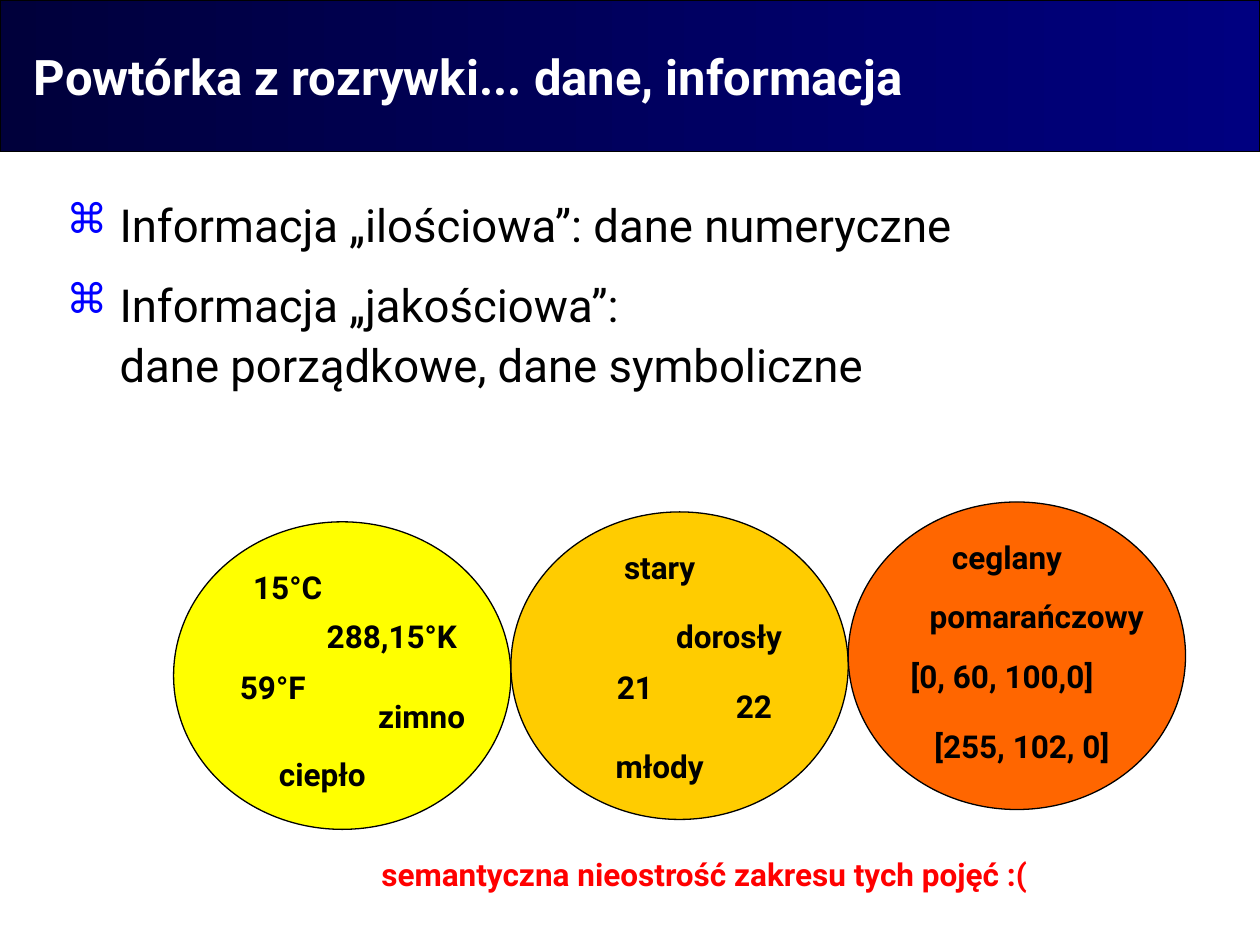
from dataclasses import dataclass

from lxml import etree
from pptx import Presentation
from pptx.dml.color import RGBColor
from pptx.enum import shapes, text
from pptx.oxml import ns
from pptx.util import Cm, Pt


@dataclass(frozen=True)
class Theme:
    font: str = "Roboto"
    title_size: int = 28
    body_size: int = 26
    label_size: int = 18
    ink: str = "000000"
    white: str = "FFFFFF"
    bullet: str = "0000FF"
    warning: str = "FF0000"
    band: tuple = ("00003B", "000080")


THEME = Theme()
CIRCLE_WIDTH, CIRCLE_HEIGHT = 6.8, 6.2
LABEL_HEIGHT = 1.02

# Circle colour, then its labels as (wording, left, top, width) in cm
CIRCLES = [
    ("FFFF00", [
        ("15°C", 4.5, 11.33, 2.6),
        ("59°F", 4.1, 13.34, 2.8),
        ("288,15°K", 5.9, 12.32, 4),
        ("ciepło", 5.1, 15.1, 2.8),
        ("zimno", 7.1, 13.92, 2.8),
    ]),
    ("FFCC00", [
        ("21", 11.5, 13.34, 2.6),
        ("dorosły", 12.9, 12.32, 3.6),
        ("22", 14.1, 13.72, 2.2),
        ("młody", 11.9, 14.94, 2.8),
        ("stary", 11.9, 10.92, 2.8),
    ]),
    ("FF6600", [
        ("[255, 102, 0]", 18.1, 14.53, 5),
        ("ceglany", 18.5, 10.72, 3.6),
        ("pomarańczowy", 18.1, 11.91, 5.6),
        ("[0, 60, 100,0]", 17.7, 13.13, 5),
    ]),
]

POINTS = [
    "Informacja „ilościowa”: dane numeryczne",
    "Informacja „jakościowa”: \vdane porządkowe, dane symboliczne",
]


def rgb(value):
    return RGBColor.from_string(value)


def style(para, size, color, bold=False):
    font = para.font
    font.name, font.size, font.bold = THEME.font, Pt(size), bold
    font.color.rgb = rgb(color)


def outline(shape):
    shape.shadow.inherit = False
    shape.line.color.rgb = rgb(THEME.ink)
    shape.line.width = Pt(0.75)


def add_band(page):
    band = page.shapes.add_shape(shapes.MSO_SHAPE.RECTANGLE, 0, 0, Cm(25.4), Cm(3.05))
    outline(band)
    band.fill.gradient()
    band.fill.gradient_angle = 0
    for stop, color in zip(band.fill.gradient_stops, THEME.band):
        stop.color.rgb = rgb(color)
    # Keep the band behind the title
    page.shapes._spTree.insert(2, band._element)


def set_title(page, wording):
    title = page.shapes.title
    title.left, title.top, title.width, title.height = Cm(0.43), Cm(0.81), Cm(20.75), Cm(1.45)
    frame = title.text_frame
    frame.text = wording
    frame.auto_size = text.MSO_AUTO_SIZE.NONE
    frame.vertical_anchor = text.MSO_ANCHOR.BOTTOM
    para = frame.paragraphs[0]
    para.alignment = text.PP_ALIGN.LEFT
    style(para, THEME.title_size, THEME.white, bold=True)


def add_bullet(para):
    props = para._p.get_or_add_pPr()
    props.set("marL", str(Cm(1.07)))
    props.set("indent", str(-Cm(1.07)))
    color = etree.SubElement(props, ns.qn("a:buClr"))
    etree.SubElement(color, ns.qn("a:srgbClr"), val=THEME.bullet)
    etree.SubElement(props, ns.qn("a:buSzPct"), val="90000")
    etree.SubElement(props, ns.qn("a:buChar"), char="⌘")


def add_points(page, points):
    box = page.shapes.add_textbox(Cm(1.09), Cm(3.73), Cm(23.8), Cm(13.2))
    frame = box.text_frame
    frame.word_wrap = True
    for index, wording in enumerate(points):
        para = frame.add_paragraph() if index else frame.paragraphs[0]
        para.text = wording
        add_bullet(para)
        para.line_spacing = 1.1
        if index:
            para.space_before = Pt(11.4)
        style(para, THEME.body_size, THEME.ink)


def add_circle(page, left, top, color):
    circle = page.shapes.add_shape(shapes.MSO_SHAPE.OVAL, Cm(left), Cm(top),
                                   Cm(CIRCLE_WIDTH), Cm(CIRCLE_HEIGHT))
    outline(circle)
    circle.fill.solid()
    circle.fill.fore_color.rgb = rgb(color)


def add_label(page, wording, left, top, width, color=THEME.ink):
    box = page.shapes.add_textbox(Cm(left), Cm(top), Cm(width), Cm(LABEL_HEIGHT))
    box.text_frame.word_wrap = True
    para = box.text_frame.paragraphs[0]
    para.text = wording
    para.alignment = text.PP_ALIGN.CENTER
    style(para, THEME.label_size, color, bold=True)


def main():
    deck = Presentation()
    deck.slide_width, deck.slide_height = Cm(25.4), Cm(19.05)
    page = deck.slides.add_slide(deck.slide_layouts[5])

    # Heading and bullet points
    add_band(page)
    set_title(page, "Powtórka z rozrywki... dane, informacja")
    add_points(page, POINTS)

    # Touching circles, each slightly higher than the one before
    for index, (color, labels) in enumerate(CIRCLES):
        add_circle(page, 3.5 + index * CIRCLE_WIDTH, 10.52 - index * 0.2, color)
        for label in labels:
            add_label(page, *label)

    # Closing remark
    add_label(page, "semantyczna nieostrość zakresu tych pojęć :(",
              5.9, 17.12, 16.6, THEME.warning)

    deck.save("out.pptx")


if __name__ == "__main__":
    main()
